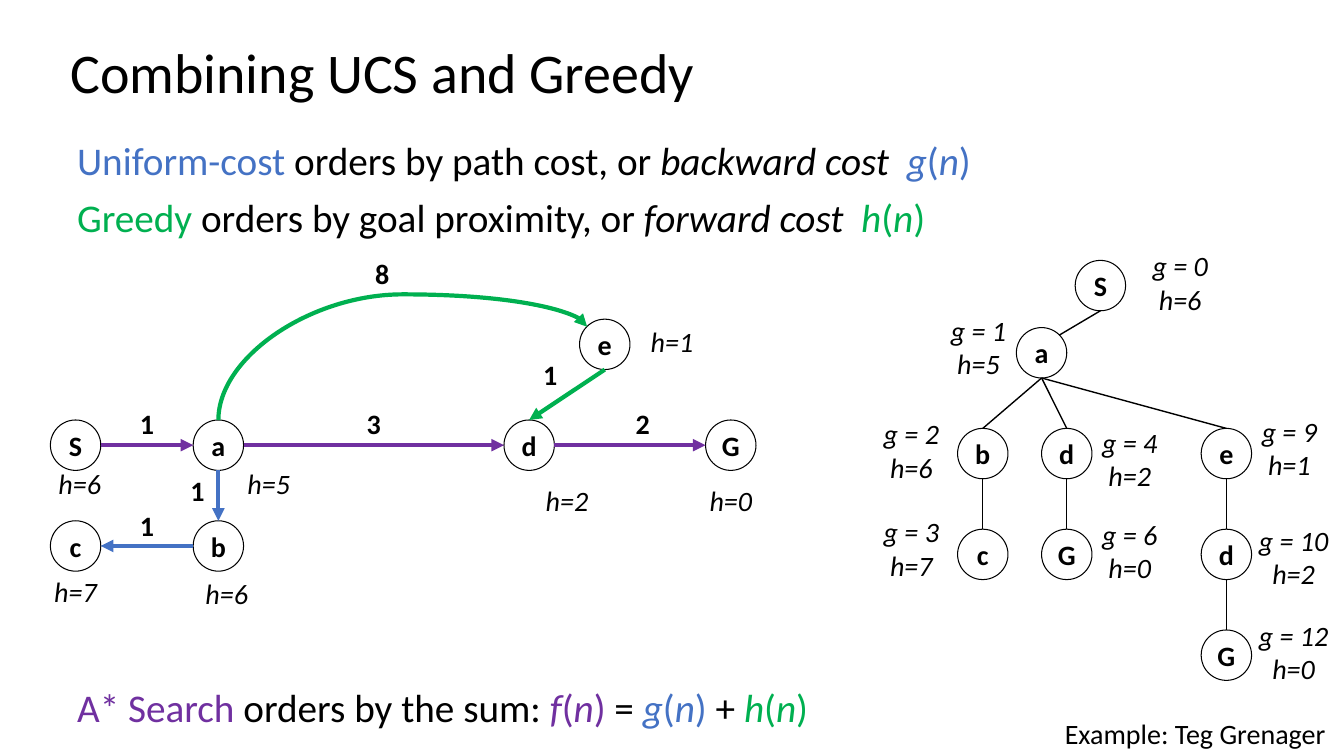
from lxml.etree import SubElement
from pptx import Presentation
from pptx.dml.color import RGBColor
from pptx.enum.shapes import MSO_CONNECTOR, MSO_SHAPE
from pptx.enum.text import MSO_ANCHOR, PP_ALIGN
from pptx.oxml.ns import qn
from pptx.util import Inches, Pt

COLORS = {"black": "000000", "white": "FFFFFF", "backward": "4472C4",
          "forward": "00B050", "total": "7030A0"}
FONT = "Calibri"
COLUMNS, ROWS = 160, 90
CELL = Inches(13.33) / COLUMNS
NODE = 6
SITES = {"top": (0.5, 0), "bottom": (0.5, 1), "left": (0, 0.5), "right": (1, 0.5),
         "upper left": (0.15, 0.15), "upper right": (0.85, 0.15)}


def cells(*counts):
    return [round(count * CELL) for count in counts]


def rgb(name):
    return RGBColor.from_string(COLORS[name])


def add_run(paragraph, words, size, color="black", bold=False, italic=False):
    run = paragraph.add_run()
    run.text = words
    font = run.font
    font.name, font.size, font.bold, font.italic = FONT, Pt(size), bold, italic
    font.color.rgb = rgb(color)


def add_text(slide, box, lines, size, align=PP_ALIGN.CENTER, spacing=1.0,
             anchor=MSO_ANCHOR.TOP):
    frame = slide.shapes.add_textbox(*cells(*box)).text_frame
    frame.word_wrap = True
    frame.vertical_anchor = anchor
    for index, runs in enumerate(lines):
        paragraph = frame.add_paragraph() if index else frame.paragraphs[0]
        paragraph.alignment = align
        paragraph.line_spacing = spacing
        if index:
            paragraph.space_before = Pt(10)
        for words, color, italic, bold in runs:
            add_run(paragraph, words, size, color, bold, italic)


def add_label(slide, origin, left, top, width, height, words, bold=False):
    box = (origin[0] + left, origin[1] + top, width, height)
    add_text(slide, box, [[(words, "black", not bold, bold)]], 20)


def add_node(slide, origin, column, row, letter):
    node = slide.shapes.add_shape(
        MSO_SHAPE.OVAL, *cells(origin[0] + column, origin[1] + row, NODE, NODE))
    node.shadow.inherit = False
    node.fill.solid()
    node.fill.fore_color.rgb = rgb("white")
    node.line.color.rgb = rgb("black")
    node.line.width = Pt(0.75)
    frame = node.text_frame
    frame.word_wrap = False
    frame.vertical_anchor = MSO_ANCHOR.MIDDLE
    frame.paragraphs[0].alignment = PP_ALIGN.CENTER
    add_run(frame.paragraphs[0], letter, 20, bold=True)
    return node


def site_point(node, site):
    across, down = SITES[site]
    return round(node.left + across * node.width), round(node.top + down * node.height)


def style_edge(edge, color, width, arrow):
    edge.line.color.rgb = rgb(color)
    edge.line.width = Pt(width)
    if arrow:
        SubElement(edge.line._get_or_add_ln(), qn("a:tailEnd"), type="triangle")
    SubElement(edge.element.spPr, qn("a:effectLst"))


def add_edge(slide, start, end, color="black", width=1, arrow=False):
    edge = slide.shapes.add_connector(
        MSO_CONNECTOR.STRAIGHT, *site_point(*start), *site_point(*end))
    style_edge(edge, color, width, arrow)


def add_arc(slide, start, end, color, width, bulge):
    (x1, y1), (x2, y2) = site_point(*start), site_point(*end)
    arc = slide.shapes.add_connector(MSO_CONNECTOR.CURVE, x1, y1, x2, y2)
    arc.begin_connect(start[0], 0)
    arc.end_connect(end[0], 1)
    span, rise = x2 - x1, y1 - y2
    arc.left, arc.top = (x1 + x2 - rise) // 2, (y1 + y2 - span) // 2
    arc.width, arc.height = rise, span
    frame = arc.element.spPr.find(qn("a:xfrm"))
    frame.attrib.pop("flipV", None)
    frame.set("rot", str(270 * 60000))
    guides = arc.element.spPr.find(qn("a:prstGeom")).find(qn("a:avLst"))
    SubElement(guides, qn("a:gd"), name="adj1", fmla=f"val {round(bulge * 100000)}")
    style_edge(arc, color, width, True)


def function_of(letter, color):
    return [(letter, color, True, False), ("(", color, False, False),
            ("n", color, True, False), (")", color, False, False)]


def ordering(name, color, middle, cost, letter):
    return [(name, color, False, False), (middle, "black", False, False),
            (cost, "black", True, False)] + function_of(letter, color)


def add_statements(slide, left, top, width):
    add_text(slide, (left - 0.8, top, width, 8.3),
             [[("Combining UCS and Greedy", "black", False, False)]],
             40, PP_ALIGN.LEFT, 0.9, MSO_ANCHOR.MIDDLE)
    add_text(slide, (left, top + 11.5, width, 14), [
        ordering("Uniform-cost ", "backward", "orders by path cost, or ",
                 "backward cost  ", "g"),
        ordering("Greedy ", "forward", "orders by goal proximity, or ",
                 "forward cost  ", "h")], 28, PP_ALIGN.LEFT, 0.9)
    total = [("A* Search ", "total", False, False),
             ("orders by the sum: ", "black", False, False),
             *function_of("f", "total"), (" = ", "black", False, False),
             *function_of("g", "backward"), (" + ", "black", False, False),
             *function_of("h", "forward")]
    add_text(slide, (left, top + 76.6, width, 6.5), [total], 28, PP_ALIGN.LEFT, 0.9)


def add_graph(slide, left, top):
    origin = (left, top)
    places = {"S": (2, 20), "a": (19, 20), "d": (56, 20), "G": (80, 20),
              "e": (65, 8), "b": (19, 32), "c": (2, 32)}
    nodes = {letter: add_node(slide, origin, *place, letter)
             for letter, place in places.items()}
    heuristics = [(0, 25, 11, "h=6"), (22, 25, 12, "h=5"), (59, 27, 9, "h=2"),
                  (77, 27, 12, "h=0"), (71, 8, 10, "h=1"), (18, 38, 10, "h=6"),
                  (0, 37.8, 10, "h=7")]
    for column, row, width, words in heuristics:
        add_label(slide, origin, column, row, width, 5.2, words)
    costs = [(10, 17.8, "1"), (37, 17.8, "3"), (69, 17.8, "2"), (38, 0, "8"),
             (58, 12, "1"), (16, 25.8, "1"), (10, 30, "1")]
    for column, row, cost in costs:
        add_label(slide, origin, column, row, 7, 5.2, cost, bold=True)
    edges = [("a", "bottom", "b", "top", "backward"), ("b", "left", "c", "right", "backward"),
             ("e", "bottom", "d", "top", "forward"), ("S", "right", "a", "left", "total"),
             ("a", "right", "d", "left", "total"), ("d", "right", "G", "left", "total")]
    for start, leaving, end, entering, color in edges:
        add_edge(slide, (nodes[start], leaving), (nodes[end], entering), color, 3, True)
    add_arc(slide, (nodes["a"], "top"), (nodes["e"], "upper left"), "forward", 3, 1.348)


def add_tree(slide, left, top):
    origin = (left, top)
    places = {"S": (25, 2), "Sa": (18, 10), "Sab": (11, 22), "Sad": (21, 22),
              "Sae": (40, 22), "Sabc": (11, 34), "SadG": (21, 34),
              "Saed": (40, 34), "SaedG": (40, 46)}
    nodes = {route: add_node(slide, origin, *place, route[-1])
             for route, place in places.items()}
    for route in list(nodes)[1:]:
        entering = "upper right" if route == "Sa" else "top"
        add_edge(slide, (nodes[route[:-1]], "bottom"), (nodes[route], entering))
    scores = [(32, 0, 11, "g = 0 h=6"), (8, 7.7, 11, "g = 1 h=5"),
              (0, 20, 11, "g = 2 h=6"), (0, 31.7, 11, "g = 3 h=7"),
              (26, 21, 11, "g = 4 h=2"), (26, 32, 11, "g = 6 h=0"),
              (45, 19.7, 11, "g = 9 h=1"), (45, 32.7, 12, "g = 10 h=2"),
              (45, 44, 12, "g = 12 h=0")]
    for column, row, width, words in scores:
        add_label(slide, origin, column, row, width, 9.2, words)


def add_credit(slide, left, top, width, height):
    add_text(slide, (left, top, width, height),
             [[("Example: Teg Grenager", "black", False, False)]], 20, PP_ALIGN.RIGHT)


def main():
    deck = Presentation()
    deck.slide_width, deck.slide_height = cells(COLUMNS, ROWS)
    slide = deck.slides.add_slide(deck.slide_layouts[6])
    add_statements(slide, 8, 4.8, 138)
    add_graph(slide, 4, 30)
    add_tree(slide, 103, 29)
    add_credit(slide, 122, 84.7, 37, 5.3)
    deck.save("out.pptx")


if __name__ == "__main__":
    main()
